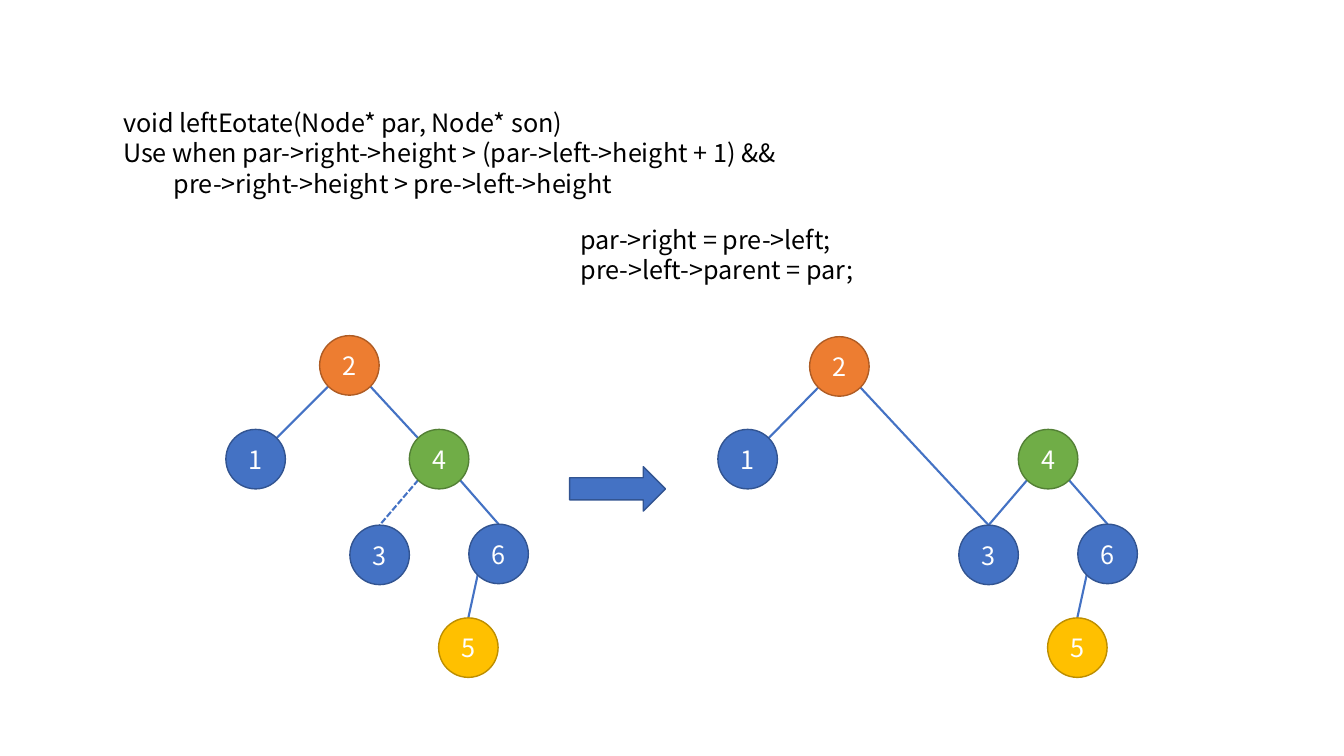
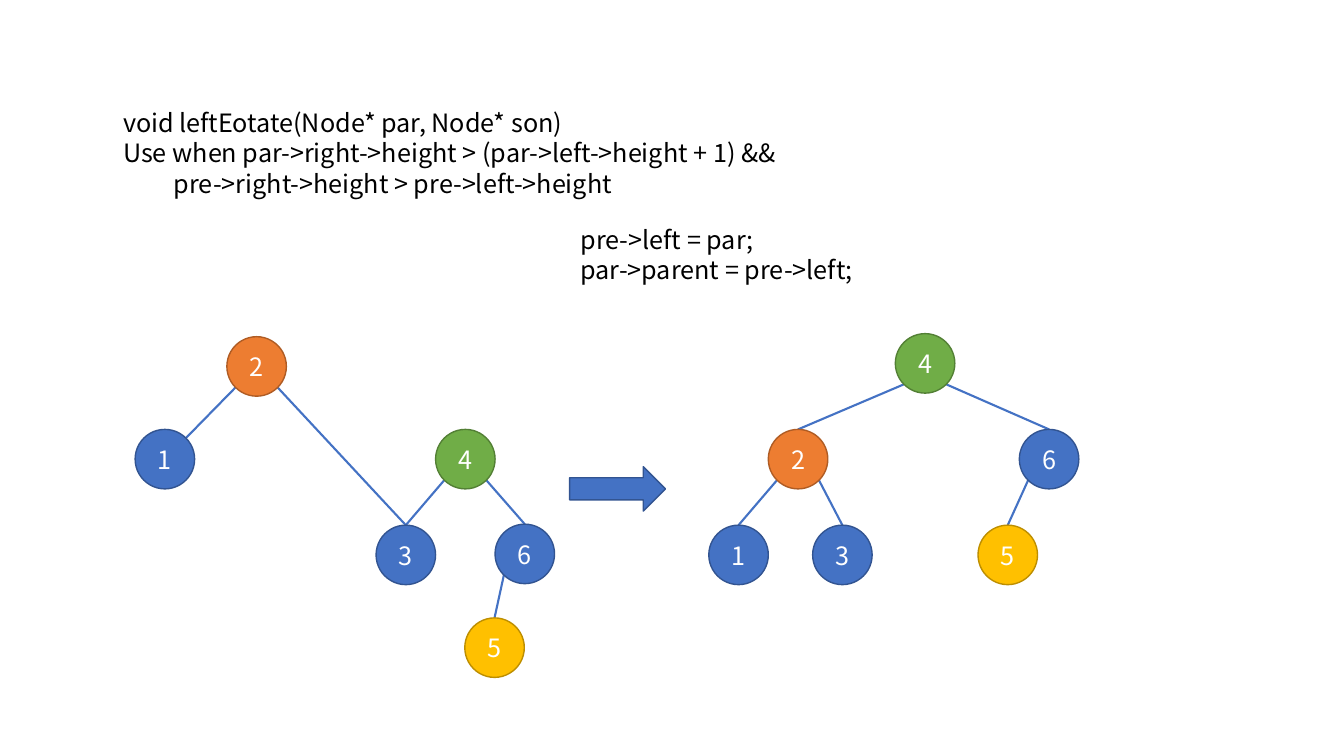
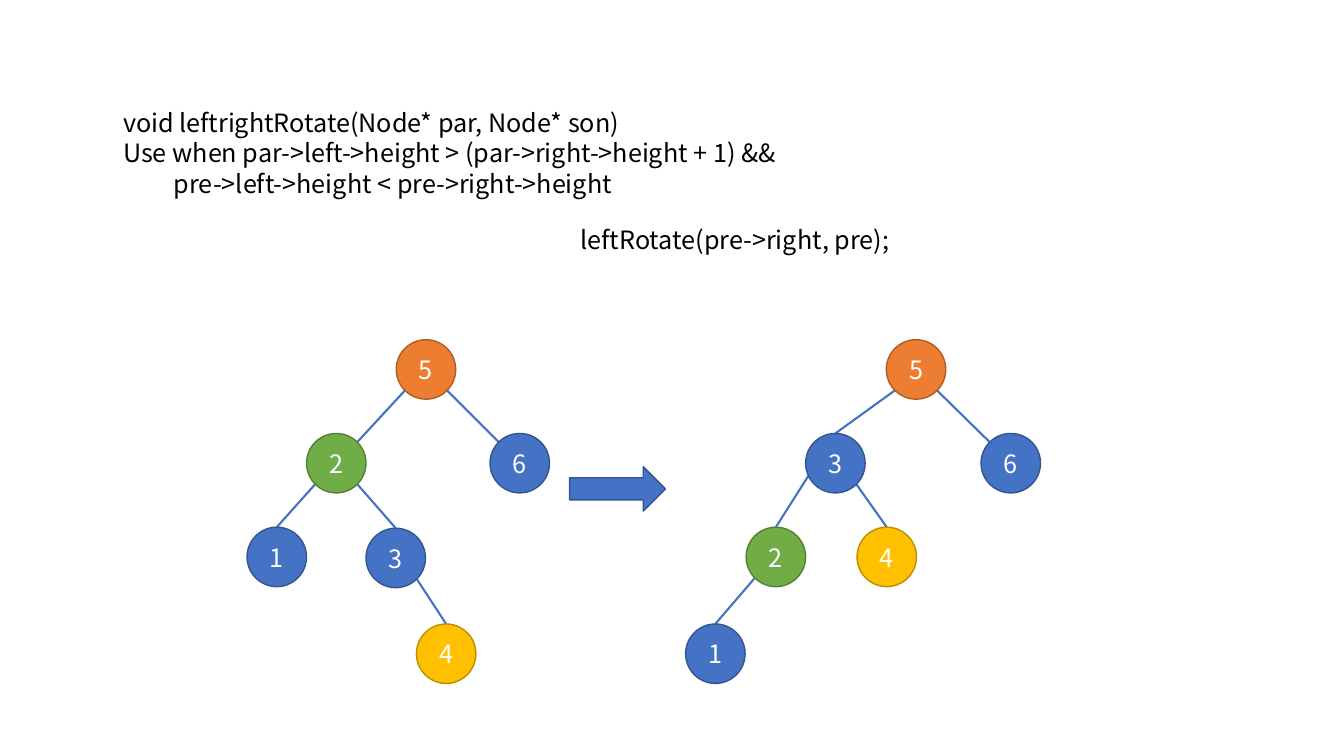
from pptx import Presentation
from pptx.dml.color import RGBColor
from pptx.enum.dml import MSO_LINE
from pptx.enum.shapes import MSO_CONNECTOR, MSO_SHAPE
from pptx.enum.text import MSO_ANCHOR, PP_ALIGN
from pptx.oxml.ns import qn
from pptx.util import Inches, Pt
from lxml import etree

ELLIPSE, ARROW = MSO_SHAPE.OVAL, MSO_SHAPE.RIGHT_ARROW
STRAIGHT, DASH = MSO_CONNECTOR.STRAIGHT, MSO_LINE.SQUARE_DOT
LEFT, CENTER = PP_ALIGN.LEFT, PP_ALIGN.CENTER
TOP, MIDDLE = MSO_ANCHOR.TOP, MSO_ANCHOR.MIDDLE

# Shared style
FONT, SIZE, PITCH = "Noto Sans CJK SC", 18, 21.8
BLACK, WHITE, BLUE = "000000", "FFFFFF", "4472C4"
ROLES = {  # fill, outline
    "parent": ("ED7D31", "AF5C24"),
    "son": ("70AD47", "538035"),
    "new": ("FFC000", "BD8E00"),
    "plain": (BLUE, "325491"),
}
NODE = 0.59
TITLE_BOX = (1.12, 1.01, 7.31, 1.01)
CODE_LEFT, CODE_TOP, CODE_WIDTH = 5.66, 2.17, 5.22
ARROW_BOX = (5.65, 4.63, 0.95, 0.44)

# Points on a node's rim, as fractions of its size
SITES = {"T": (0.5, 0), "TL": (0.15, 0.15), "TR": (0.85, 0.15),
         "BL": (0.15, 0.85), "BR": (0.85, 0.85)}

# Trees: nodes as label -> (left, top); edges as (from, site, to, site)
LEFT_START = {
    "nodes": {2: (3.17, 3.33), 1: (2.24, 4.26), 4: (4.06, 4.26),
              6: (4.65, 5.2), 3: (3.47, 5.21), 5: (4.35, 6.13)},
    "edges": [(2, "BL", 1, "TR"), (2, "BR", 4, "TL"), (4, "BL", 3, "T"),
              (4, "BR", 6, "T"), (6, "BL", 5, "T")],
    "dashed": (4, 3),
}
LEFT_MOVED = {
    "nodes": {2: (2.25, 3.34), 1: (1.34, 4.26), 4: (4.32, 4.26),
              6: (4.91, 5.2), 3: (3.73, 5.21), 5: (4.61, 6.13)},
    "edges": [(2, "BL", 1, "TR"), (2, "BR", 3, "T"), (4, "BL", 3, "T"),
              (4, "BR", 6, "T"), (6, "BL", 5, "T")],
}
LEFT_DONE = {
    "nodes": {2: (7.62, 4.26), 1: (7.03, 5.21), 4: (8.88, 3.31),
              6: (10.11, 4.26), 3: (8.06, 5.21), 5: (9.7, 5.21)},
    "edges": [(2, "BL", 1, "T"), (2, "BR", 3, "T"), (4, "BL", 2, "T"),
              (4, "BR", 6, "T"), (6, "BL", 5, "T")],
}
LEFTRIGHT_START = {
    "nodes": {5: (3.93, 3.37), 6: (4.86, 4.3), 2: (3.04, 4.3),
              1: (2.45, 5.23), 3: (3.63, 5.24), 4: (4.13, 6.19)},
    "edges": [(5, "BR", 6, "TL"), (5, "BL", 2, "TR"), (2, "BR", 3, "T"),
              (2, "BL", 1, "T"), (3, "BR", 4, "T")],
}
LEFTRIGHT_DONE = {
    "nodes": {5: (8.79, 3.37), 6: (9.73, 4.3), 2: (7.4, 5.23),
              1: (6.8, 6.19), 3: (7.99, 4.3), 4: (8.5, 5.23)},
    "edges": [(5, "BR", 6, "TL"), (5, "BL", 3, "T"), (3, "T", 2, "T"),
              (2, "BL", 1, "T"), (3, "BR", 4, "T")],
}
MOVED_SHIFT = 5.78

LEFT_TITLE = ["void leftEotate(Node* par, Node* son)",
              "Use when par->right->height > (par->left->height + 1) &&",
              "         pre->right->height > pre->left->height"]
LEFT_ROLES = {2: "parent", 4: "son", 5: "new"}

# Slides: each tree comes with its shift to the right
SLIDES = [
    {"title": LEFT_TITLE, "roles": LEFT_ROLES,
     "code": ["par->right = pre->left;", "pre->left->parent = par;"],
     "trees": [(LEFT_START, 0), (LEFT_MOVED, MOVED_SHIFT)]},
    {"title": LEFT_TITLE, "roles": LEFT_ROLES,
     "code": ["pre->left = par;", "par->parent = pre->left;"],
     "trees": [(LEFT_MOVED, 0), (LEFT_DONE, 0)]},
    {"title": ["void leftrightRotate(Node* par, Node* son)",
               "Use when par->left->height > (par->right->height + 1) &&",
               "         pre->left->height < pre->right->height"],
     "roles": {5: "parent", 2: "son", 4: "new"},
     "code": ["leftRotate(pre->right, pre);"],
     "trees": [(LEFTRIGHT_START, 0), (LEFTRIGHT_DONE, 0)]},
]


def rgb(color):
    return RGBColor.from_string(color)


def inches(*values):
    return [Inches(v) for v in values]


def write(sp, lines, color=BLACK, align=LEFT, anchor=TOP):
    tf = sp.text_frame
    tf.word_wrap = True
    tf.vertical_anchor = anchor
    for i, line in enumerate(lines):
        p = tf.paragraphs[0] if i == 0 else tf.add_paragraph()
        p.text = line
        p.alignment = align
        p.line_spacing = Pt(PITCH)
        p.space_before = Pt(0)
        p.font.name, p.font.size = FONT, Pt(SIZE)
        p.font.color.rgb = rgb(color)


def add_figure(shapes, kind, box, role):
    sp = shapes.add_shape(kind, *inches(*box))
    fill, line = ROLES[role]
    sp.shadow.inherit = False
    sp.fill.solid()
    sp.fill.fore_color.rgb = rgb(fill)
    sp.line.color.rgb = rgb(line)
    sp.line.width = Pt(1)
    return sp


def add_tree(s, tree, shift, roles):
    shapes = s.shapes.add_group_shape().shapes

    def rim(label, site):
        (x, y), (fx, fy) = tree["nodes"][label], SITES[site]
        return inches(x + shift + fx * NODE, y + fy * NODE)

    # Edges lie behind the nodes
    for start, start_site, end, end_site in tree["edges"]:
        edge = shapes.add_connector(STRAIGHT, *rim(start, start_site),
                                    *rim(end, end_site))
        edge.line.color.rgb = rgb(BLUE)
        edge.line.width = Pt(1.5)
        if tree.get("dashed") == (start, end):
            edge.line.dash_style = DASH
        etree.SubElement(edge._element.spPr, qn("a:effectLst"))

    for label, (x, y) in tree["nodes"].items():
        sp = add_figure(shapes, ELLIPSE, (x + shift, y, NODE, NODE),
                        roles.get(label, "plain"))
        write(sp, [str(label)], WHITE, CENTER, MIDDLE)


def main():
    prs = Presentation()
    prs.slide_width, prs.slide_height = inches(13.33, 7.5)
    title_only = prs.slide_layouts[5]

    for content in SLIDES:
        s = prs.slides.add_slide(title_only)

        # Signature and condition
        title = s.shapes.title
        title.left, title.top, title.width, title.height = inches(*TITLE_BOX)
        write(title, content["title"])

        # Code of this step
        height = 0.1 + 0.3 * len(content["code"])
        code = s.shapes.add_textbox(
            *inches(CODE_LEFT, CODE_TOP, CODE_WIDTH, height))
        write(code, content["code"])

        # Trees before and after
        for tree, shift in content["trees"]:
            add_tree(s, tree, shift, content["roles"])
        add_figure(s.shapes, ARROW, ARROW_BOX, "plain")

    prs.save("out.pptx")


if __name__ == "__main__":
    main()
